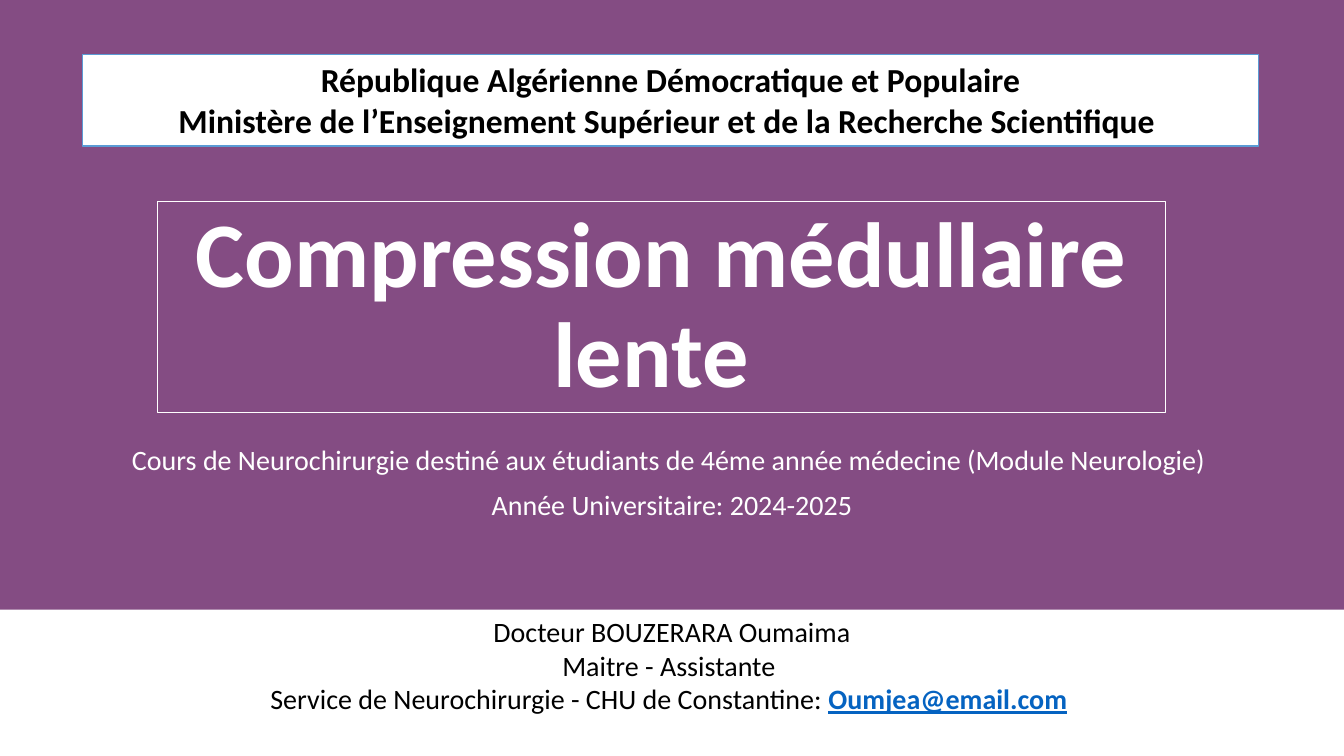
import pptx
import pptx.util
import pptx.dml.color
import pptx.enum.shapes
import pptx.enum.text

Pt = pptx.util.Pt

WIDTH, HEIGHT = 960, 540
PURPLE, WHITE, BLACK = "844C83", "FFFFFF", "000000"
BORDER_BLUE, LINK_BLUE = "5B9BD5", "0563C1"

# Each block holds paragraphs; each paragraph holds (text, format) spans.
BLOCKS = [
    {
        "place": (112.5, 144, 720, 150.5),
        "line": (WHITE, 0.75),
        "anchor": "BOTTOM",
        "spacing": 0.9,
        "style": {"size": 66, "color": WHITE, "bold": True},
        "paragraphs": [[("Compression médullaire lente ", {})]],
    },
    {
        "place": (0, 315.5, WIDTH, 38),
        "spacing": 0.9,
        "space_before": 10,
        "style": {"size": 20, "color": WHITE},
        "paragraphs": [
            [("Cours de Neurochirurgie destiné aux étudiants de 4éme année médecine (Module Neurologie) ", {})],
            [("Année Universitaire: 2024-2025", {})],
        ],
    },
    {
        "place": (59, 38.75, 840, 65.5),
        "fill": WHITE,
        "line": (BORDER_BLUE, 1),
        "style": {"size": 24, "color": BLACK, "bold": True},
        "paragraphs": [[(
            "République Algérienne Démocratique et Populaire\n"
            "Ministère de l’Enseignement Supérieur et de la Recherche Scientifique ", {})]],
    },
    {
        "place": (0, 435.5, WIDTH, 104.5),
        "fill": WHITE,
        "style": {"size": 20, "color": BLACK},
        "paragraphs": [
            [("Docteur BOUZERARA Oumaima", {})],
            [("Maitre - Assistante ", {})],
            [
                ("Service de Neurochirurgie - CHU de Constantine: ", {}),
                ("Oumjea@email.com", {"color": LINK_BLUE, "bold": True, "underline": True}),
                (" ", {"bold": True}),
            ],
        ],
    },
]


def rgb(value):
    return pptx.dml.color.RGBColor.from_string(value)


def paint(fill, color):
    """Fill with a solid colour, or with nothing when there is no colour."""
    if color:
        fill.solid()
        fill.fore_color.rgb = rgb(color)
    else:
        fill.background()


def add_text(para, text, *, size, color, bold=False, underline=False):
    for index, part in enumerate(text.split("\n")):
        if index:
            para.add_line_break()
        span = para.add_run()
        span.text = part
        span.font.name = "Calibri"
        span.font.size = Pt(size)
        span.font.bold = bold
        span.font.underline = underline
        span.font.color.rgb = rgb(color)


def add_block(page, block):
    box = page.shapes.add_shape(
        pptx.enum.shapes.MSO_SHAPE.RECTANGLE, *map(Pt, block["place"]))
    box.shadow.inherit = False
    paint(box.fill, block.get("fill"))
    line_color, line_width = block.get("line", (None, 0))
    paint(box.line.fill, line_color)
    if line_color:
        box.line.width = Pt(line_width)

    frame = box.text_frame
    frame.word_wrap = True
    frame.vertical_anchor = pptx.enum.text.MSO_ANCHOR[block.get("anchor", "TOP")]
    for index, spans in enumerate(block["paragraphs"]):
        para = frame.add_paragraph() if index else frame.paragraphs[0]
        para.alignment = pptx.enum.text.PP_ALIGN.CENTER
        para.line_spacing = block.get("spacing", 1.0)
        para.space_before = Pt(block.get("space_before", 0) if index else 0)
        for text, changes in spans:
            add_text(para, text, **{**block["style"], **changes})


def main():
    deck = pptx.Presentation()
    deck.slide_width, deck.slide_height = Pt(WIDTH), Pt(HEIGHT)
    page = deck.slides.add_slide(deck.slide_layouts[6])
    paint(page.background.fill, PURPLE)
    for block in BLOCKS:
        add_block(page, block)
    deck.save("out.pptx")


if __name__ == "__main__":
    main()
